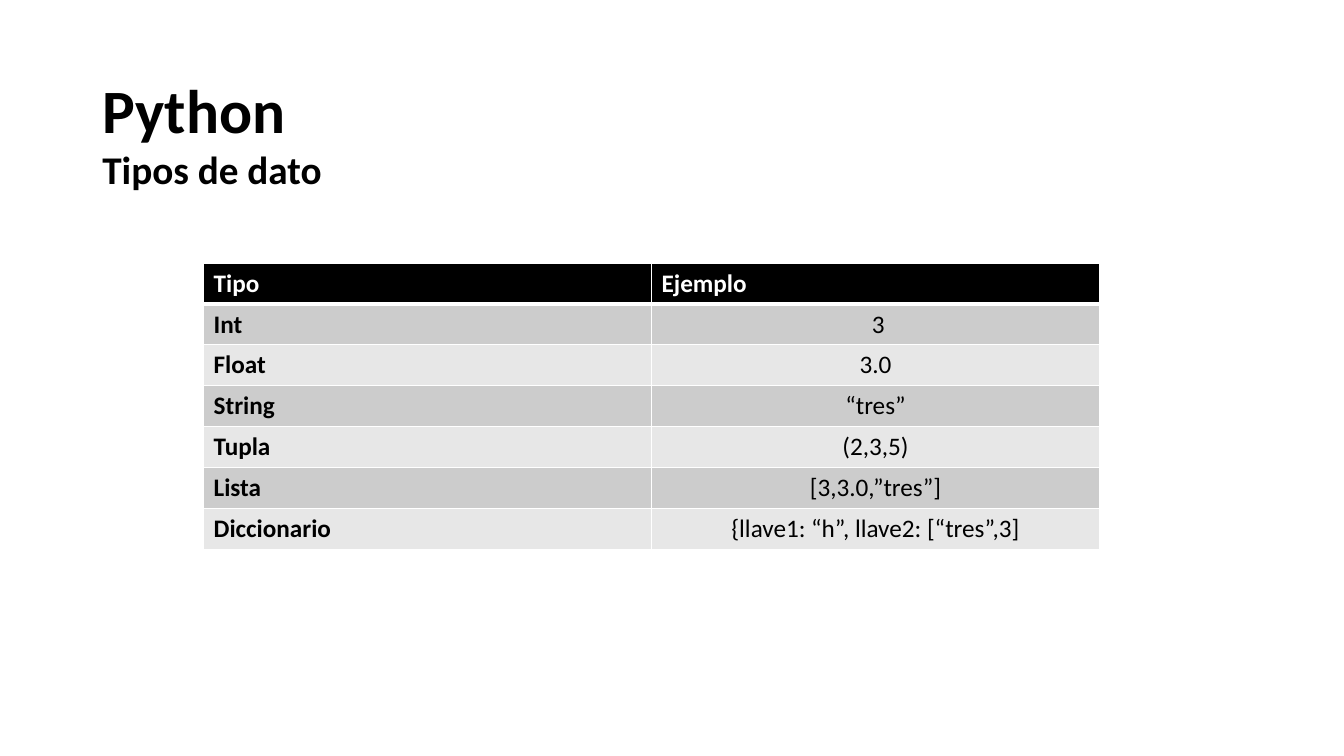
from dataclasses import dataclass

from lxml.etree import SubElement
from pptx import Presentation
from pptx.dml.color import RGBColor
from pptx.enum.text import MSO_ANCHOR as Anchor, PP_ALIGN as Align
from pptx.oxml.ns import qn
from pptx.util import Cm, Pt


@dataclass(frozen=True)
class Theme:
    font: str = "Calibri"
    ink: str = "000000"
    paper: str = "FFFFFF"
    bands: tuple = ("CCCCCC", "E7E7E7")
    title_size: int = 44
    subtitle_size: int = 28
    table_size: int = 18
    rule: int = 1
    header_rule: int = 3


class SlideBuilder:
    def __init__(self, slide, theme):
        self.slide = slide
        self.theme = theme

    def style(self, paragraph, size, color, bold=True):
        font = paragraph.font
        font.name = self.theme.font
        font.size = Pt(size)
        font.bold = bold
        font.color.rgb = RGBColor.from_string(color)

    def heading(self, text, box, size, anchor=Anchor.TOP, wrap=True, spacing=1.0):
        frame = self.slide.shapes.add_textbox(*map(Cm, box)).text_frame
        frame.word_wrap = wrap
        frame.vertical_anchor = anchor
        line = frame.paragraphs[0]
        line.text = text
        line.line_spacing = spacing
        self.style(line, size, self.theme.ink)

    def borders(self, cell, top, bottom):
        """Draw the four cell edges; call before filling, as the schema orders them."""
        properties = cell._tc.get_or_add_tcPr()
        widths = {"L": self.theme.rule, "R": self.theme.rule, "T": top, "B": bottom}
        for side, width in widths.items():
            edge = SubElement(properties, qn(f"a:ln{side}"), w=str(Pt(width)))
            fill = SubElement(edge, qn("a:solidFill"))
            SubElement(fill, qn("a:srgbClr"), val=self.theme.paper)

    def table(self, rows, left, top, column_width, row_height):
        """Place a table with a dark header, banded rows and a bold first column."""
        theme = self.theme
        columns = len(rows[0])
        table = self.slide.shapes.add_table(
            len(rows), columns, Cm(left), Cm(top),
            Cm(column_width * columns), Cm(row_height * len(rows))).table
        for r, row in enumerate(rows):
            header = r == 0
            background = theme.ink if header else theme.bands[(r - 1) % 2]
            for c, text in enumerate(row):
                cell = table.cell(r, c)
                self.borders(cell,
                             theme.header_rule if r == 1 else theme.rule,
                             theme.header_rule if header else theme.rule)
                cell.fill.solid()
                cell.fill.fore_color.rgb = RGBColor.from_string(background)
                cell.text = text
                line = cell.text_frame.paragraphs[0]
                example = c > 0 and not header
                line.alignment = Align.CENTER if example else Align.LEFT
                self.style(line, theme.table_size,
                           theme.paper if header else theme.ink, not example)


DATA_TYPES = [
    ("Tipo", "Ejemplo"),
    ("Int", " 3"),
    ("Float", "3.0"),
    ("String", "“tres”"),
    ("Tupla", "(2,3,5)"),
    ("Lista", "[3,3.0,”tres”]"),
    ("Diccionario", "{llave1: “h”, llave2: [“tres”,3]"),
]


def main():
    deck = Presentation()
    deck.slide_width, deck.slide_height = Cm(33.87), Cm(19.05)
    theme = Theme()
    builder = SlideBuilder(deck.slides.add_slide(deck.slide_layouts[6]), theme)
    builder.heading("Python", (2.33, 1.02, 29.21, 3.68), theme.title_size,
                    anchor=Anchor.MIDDLE, spacing=0.9)
    builder.heading("Tipos de dato", (2.33, 3.53, 6.1, 1.45),
                    theme.subtitle_size, wrap=False)
    builder.table(DATA_TYPES, left=5.13, top=6.63, column_width=11.29, row_height=1.03)
    deck.save("out.pptx")


if __name__ == "__main__":
    main()
